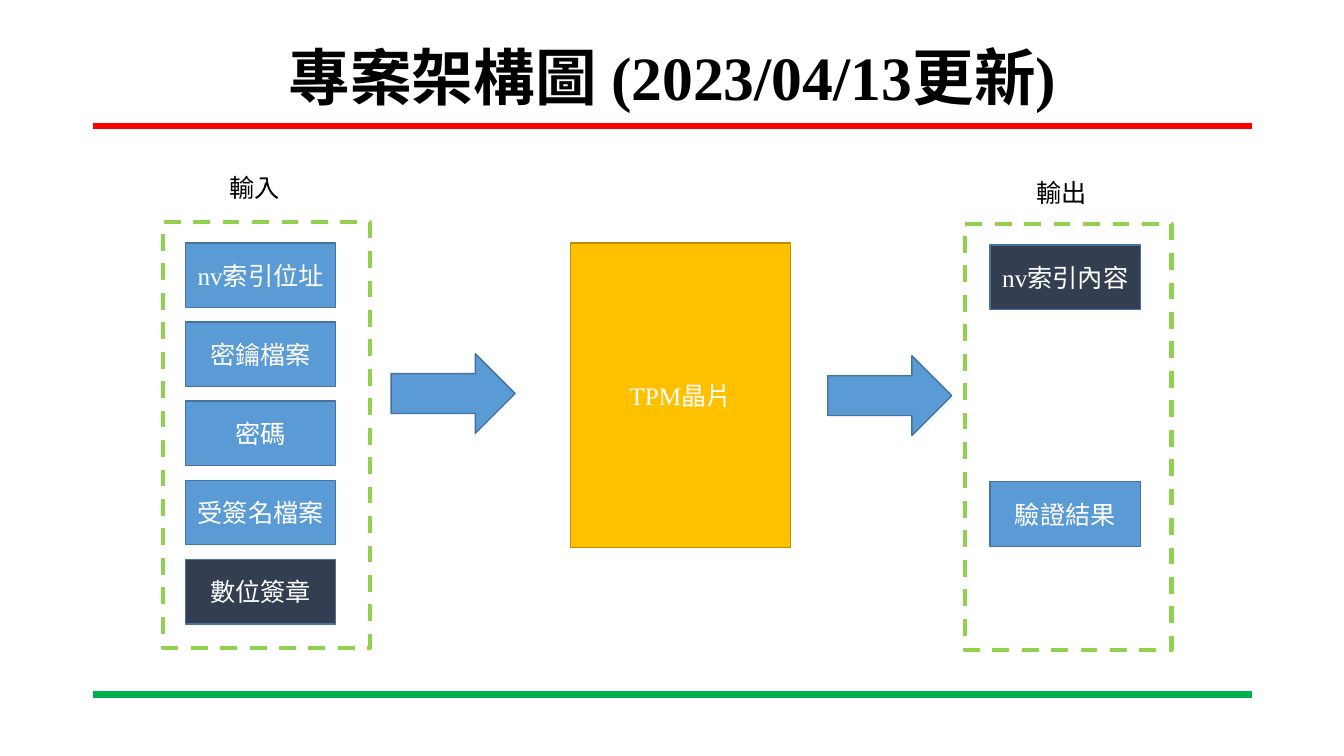
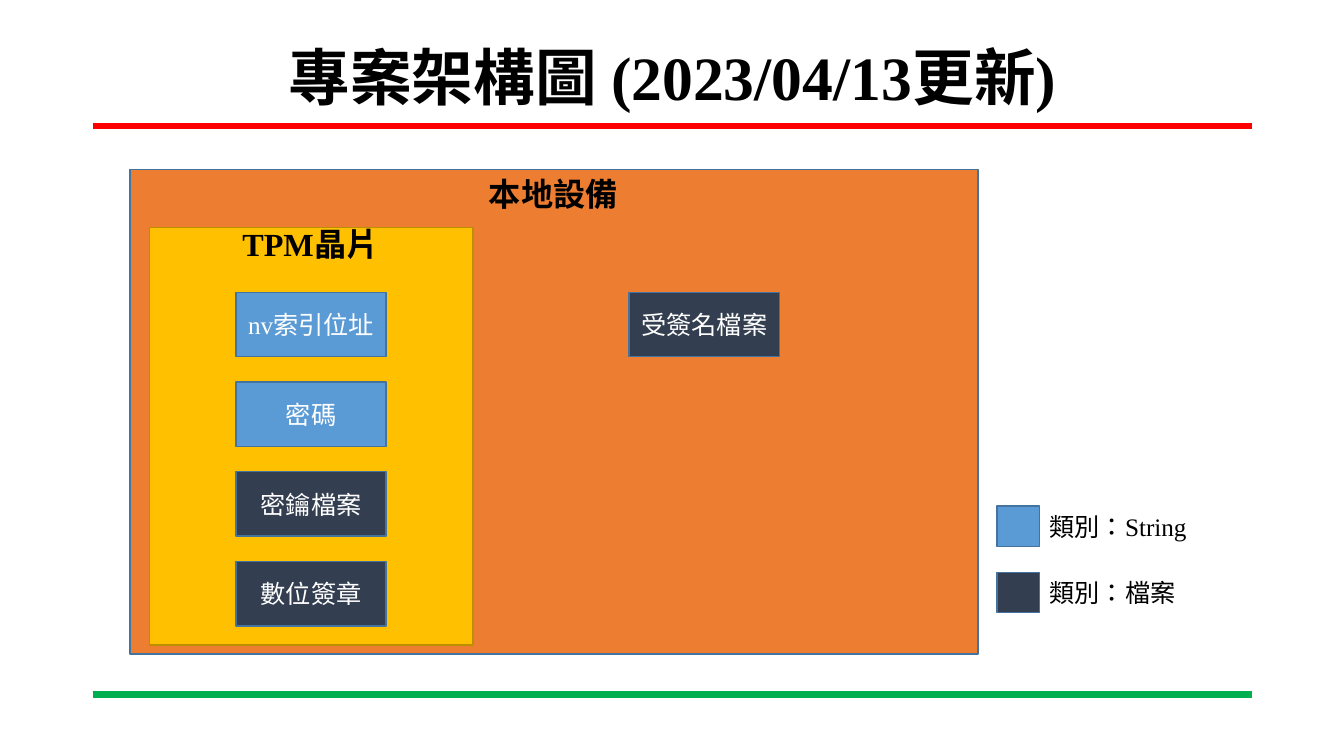
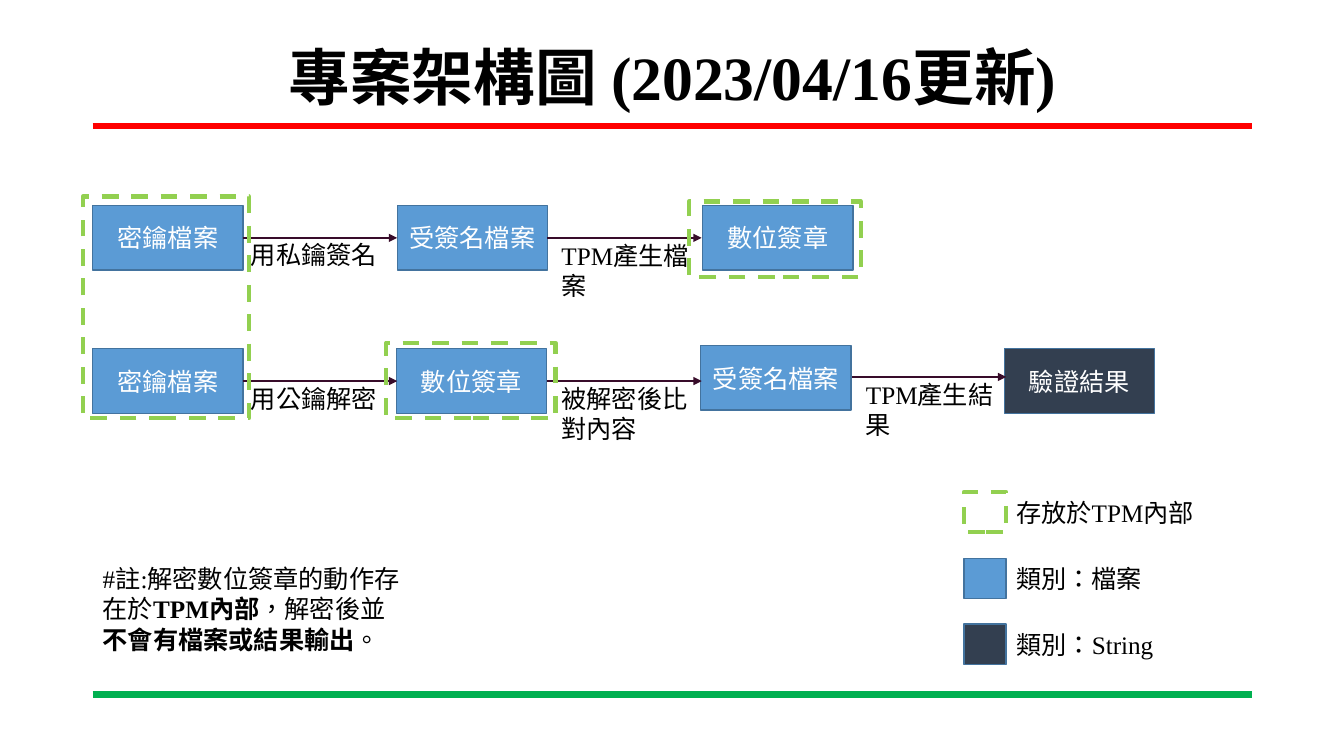
from lxml import etree
from pptx import Presentation
from pptx.dml.color import RGBColor
from pptx.enum.dml import MSO_LINE
from pptx.enum.shapes import MSO_CONNECTOR, MSO_SHAPE
from pptx.enum.text import MSO_ANCHOR, MSO_AUTO_SIZE, PP_ALIGN
from pptx.oxml.ns import qn
from pptx.util import Inches, Pt

BLACK, WHITE = "000000", "FFFFFF"
RED, GREEN, LIME = "FF0000", "00B050", "92D050"
BLUE, NAVY, BLUE_EDGE = "5B9BD5", "333F50", "43739E"
GOLD, GOLD_EDGE = "FFC000", "BD8E00"
ORANGE, PLUM = "ED7D31", "380C2A"
LATIN_FONT, CJK_FONT = "Times New Roman", "Noto Sans CJK SC"
BLOCK_W, BLOCK_H = 1.49, 0.64
SWATCH_W, SWATCH_H = 0.42, 0.4


def rgb(color):
    return RGBColor.from_string(color)


class Deck:
    """Holds the shared style and the slide being drawn."""

    def __init__(self):
        self.prs = Presentation()
        self.prs.slide_width = Inches(13.33)
        self.prs.slide_height = Inches(7.5)
        self.slide = None

    def new_slide(self, heading):
        self.slide = self.prs.slides.add_slide(self.prs.slide_layouts[5])
        self.line(0.92, 1.25, 12.42, 1.25, RED, 4.5)
        self.line(0.92, 6.89, 12.42, 6.89, GREEN, 4.5)
        title = self.slide.shapes.title
        title.left, title.top = Inches(0.92), Inches(0.4)
        title.width, title.height = Inches(11.5), Inches(0.79)
        frame = title.text_frame
        frame.text = heading
        frame.auto_size = MSO_AUTO_SIZE.NONE
        frame.vertical_anchor = MSO_ANCHOR.MIDDLE
        paragraph = frame.paragraphs[0]
        paragraph.alignment = PP_ALIGN.CENTER
        paragraph.line_spacing = 0.9
        self.style(paragraph.runs[0], 44, BLACK, True)

    def style(self, run, size, color, bold=False):
        font = run.font
        font.name, font.size, font.bold = LATIN_FONT, Pt(size), bold
        font.color.rgb = rgb(color)
        properties = run._r.get_or_add_rPr()
        properties.set("lang", "zh-TW")
        latin = properties.find(qn("a:latin"))
        east_asian = etree.Element(qn("a:ea"), typeface=CJK_FONT)
        latin.addnext(east_asian)

    def line(self, x1, y1, x2, y2, color, width, arrow=False):
        connector = self.slide.shapes.add_connector(
            MSO_CONNECTOR.STRAIGHT, Inches(x1), Inches(y1), Inches(x2), Inches(y2))
        connector.line.color.rgb = rgb(color)
        connector.line.width = Pt(width)
        if arrow:
            outline = connector.line._get_or_add_ln()
            etree.SubElement(outline, qn("a:tailEnd"), type="triangle")
        etree.SubElement(connector._element.spPr, qn("a:effectLst"))

    def arrow(self, x1, x2, y):
        self.line(x1, y, x2, y, PLUM, 1.5, arrow=True)

    def shape(self, left, top, width, height, fill, edge=BLUE_EDGE,
              preset=MSO_SHAPE.RECTANGLE):
        shape = self.slide.shapes.add_shape(
            preset, Inches(left), Inches(top), Inches(width), Inches(height))
        shape.shadow.inherit = False
        if fill:
            shape.fill.solid()
            shape.fill.fore_color.rgb = rgb(fill)
        else:
            shape.fill.background()
        shape.line.color.rgb = rgb(edge)
        shape.line.width = Pt(1)
        return shape

    def block(self, left, top, label, fill=BLUE, edge=BLUE_EDGE,
              width=BLOCK_W, height=BLOCK_H):
        frame = self.shape(left, top, width, height, fill, edge).text_frame
        frame.text = label
        frame.vertical_anchor = MSO_ANCHOR.MIDDLE
        frame.paragraphs[0].alignment = PP_ALIGN.CENTER
        self.style(frame.paragraphs[0].runs[0], 18, WHITE)

    def block_arrow(self, left, top):
        self.shape(left, top, 1.23, 0.79, BLUE, preset=MSO_SHAPE.RIGHT_ARROW)

    def dashed_frame(self, left, top, width, height):
        frame = self.shape(left, top, width, height, None, LIME)
        frame.line.width = Pt(3)
        frame.line.dash_style = MSO_LINE.DASH

    def text(self, left, top, width, height, parts, size=18, align=PP_ALIGN.LEFT):
        """Write one paragraph made of (words, bold) parts."""
        box = self.slide.shapes.add_textbox(
            Inches(left), Inches(top), Inches(width), Inches(height))
        frame = box.text_frame
        frame.word_wrap = True
        frame.auto_size = MSO_AUTO_SIZE.SHAPE_TO_FIT_TEXT
        paragraph = frame.paragraphs[0]
        paragraph.alignment = align
        for words, bold in parts:
            run = paragraph.add_run()
            run.text = words
            self.style(run, size, BLACK, bold)

    def label(self, left, top, width, words, height=0.4):
        self.text(left, top, width, height, [(words, False)])

    def legend(self, left, top, fill, words, width=1.72):
        """Draw a swatch with its meaning; no fill gives a dashed swatch."""
        if fill:
            self.shape(left, top, SWATCH_W, SWATCH_H, fill)
        else:
            self.dashed_frame(left, top, SWATCH_W, SWATCH_H)
        self.label(left + SWATCH_W, top, width, words)


def input_output_slide(deck):
    deck.new_slide("專案架構圖 (2023/04/13更新)")
    deck.block(5.66, 2.41, "TPM晶片", GOLD, GOLD_EDGE, 2.18, 3.02)
    inputs = ["nv索引位址", "密鑰檔案", "密碼", "受簽名檔案", "數位簽章"]
    for row, name in enumerate(inputs):
        deck.block(1.84, 2.41 + 0.785 * row, name,
                   NAVY if name == "數位簽章" else BLUE)
    deck.block(9.82, 2.43, "nv索引內容", NAVY)
    deck.block(9.82, 4.78, "驗證結果")
    deck.block_arrow(3.88, 3.51)
    deck.block_arrow(8.21, 3.53)
    deck.dashed_frame(1.62, 2.2, 2.05, 4.23)
    deck.label(2.18, 1.66, 0.81, "輸入")
    deck.dashed_frame(9.57, 2.22, 2.05, 4.23)
    deck.label(10.18, 1.71, 0.81, "輸出")


def storage_slide(deck):
    deck.new_slide("專案架構圖 (2023/04/13更新)")
    deck.shape(1.29, 1.68, 8.41, 4.81, ORANGE)
    deck.shape(1.48, 2.26, 3.21, 4.14, GOLD, GOLD_EDGE)
    deck.text(4.75, 1.68, 1.49, 0.49, [("本地設備", True)], 23)
    deck.text(2.23, 2.18, 1.7, 0.49, [("TPM晶片", True)], 23, PP_ALIGN.CENTER)
    chip_contents = [("nv索引位址", BLUE), ("密碼", BLUE),
                     ("密鑰檔案", NAVY), ("數位簽章", NAVY)]
    for row, (name, fill) in enumerate(chip_contents):
        deck.block(2.34, 2.9 + 0.89 * row, name, fill)
    deck.block(6.24, 2.9, "受簽名檔案", NAVY)
    deck.legend(9.89, 5.02, BLUE, "類別：String")
    deck.legend(9.89, 5.68, NAVY, "類別：檔案")


def signing_flow_slide(deck):
    deck.new_slide("專案架構圖 (2023/04/16更新)")
    blocks = [(0.92, 2.04, "密鑰檔案", BLUE), (3.94, 2.04, "受簽名檔案", BLUE),
              (6.97, 2.04, "數位簽章", BLUE), (0.92, 3.46, "密鑰檔案", BLUE),
              (3.93, 3.46, "數位簽章", BLUE), (6.95, 3.43, "受簽名檔案", BLUE),
              (9.96, 3.46, "驗證結果", NAVY)]
    for block in blocks:
        deck.block(*block)

    steps = [(2.41, 2.36, 2.39, "用私鑰簽名", 0.4), (5.43, 2.36, 5.47, "TPM產生檔案", 0.71),
             (2.41, 3.78, 2.39, "用公鑰解密", 0.4), (5.43, 3.78, 5.47, "被解密後比對內容", 0.71),
             (8.45, 3.74, 8.49, "TPM產生結果", 0.71)]
    for start, y, words_left, words, height in steps:
        deck.arrow(start, start + 1.53, y)
        deck.label(words_left, y - 0.03, 1.5, words, height)

    for stored_in_chip in [(0.82, 1.95, 1.65, 2.2), (3.83, 3.4, 1.68, 0.75),
                           (6.83, 2, 1.71, 0.75)]:
        deck.dashed_frame(*stored_in_chip)

    deck.legend(9.56, 4.88, None, "存放於TPM內部", 1.97)
    deck.legend(9.56, 5.54, BLUE, "類別：檔案")
    deck.legend(9.56, 6.19, NAVY, "類別：String")
    deck.text(0.92, 5.54, 3.21, 1.31, [
        ("#註:解密數位簽章的動作存在於", False), ("TPM內部", True),
        ("，解密後並", False), ("不會有檔案或結果輸出", True), ("。", False)])


def main():
    deck = Deck()
    input_output_slide(deck)
    storage_slide(deck)
    signing_flow_slide(deck)
    deck.prs.save("out.pptx")


if __name__ == "__main__":
    main()
